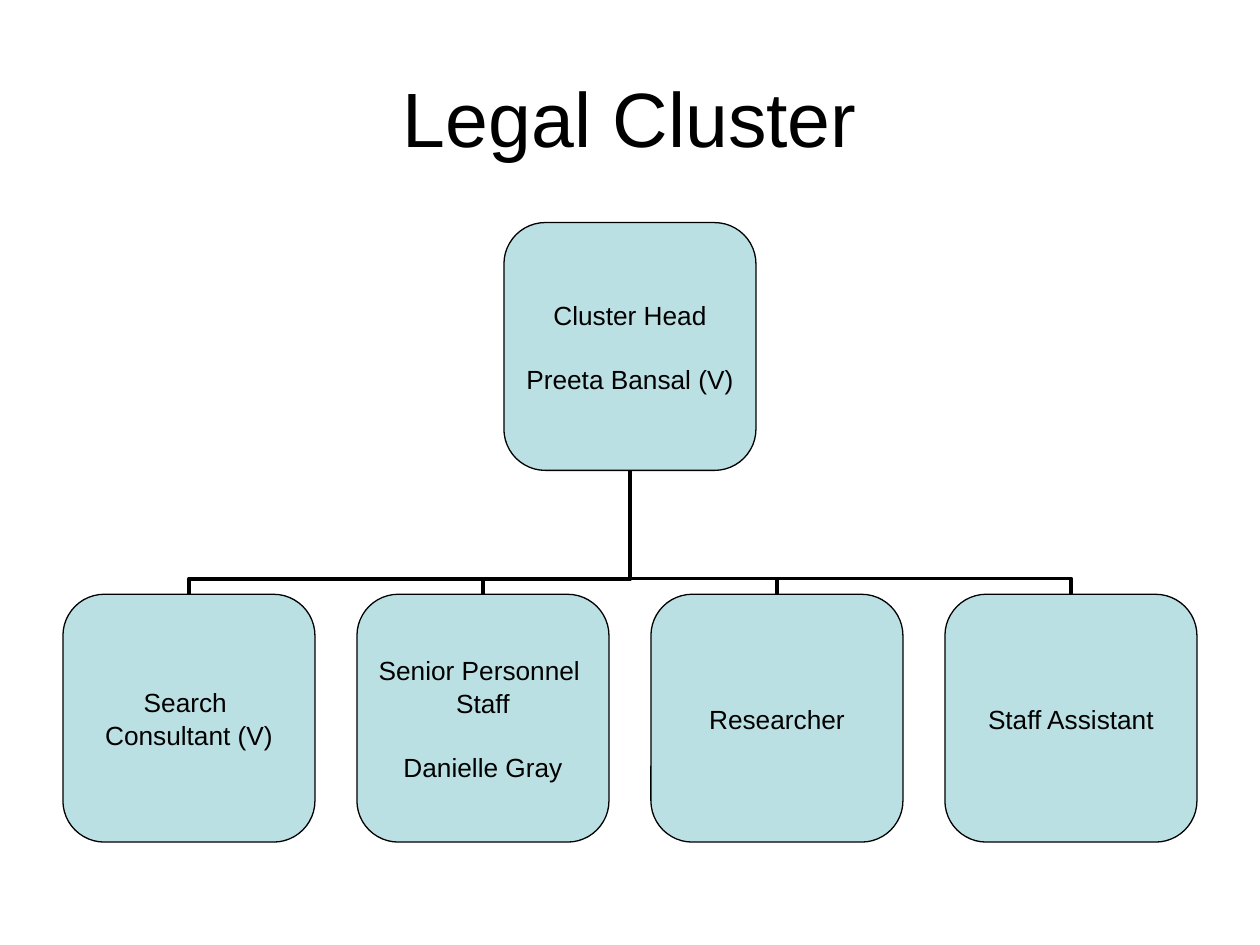
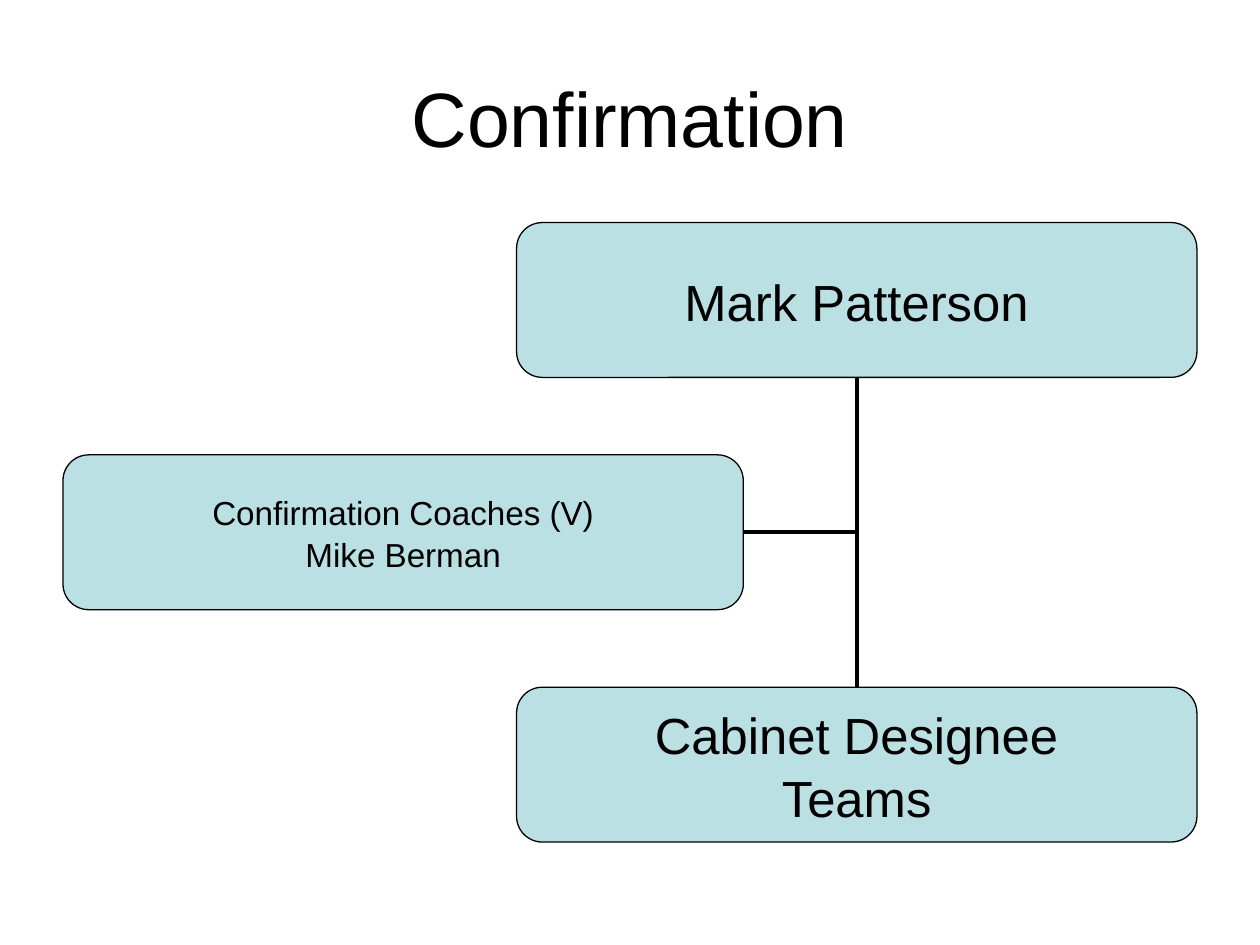
import pptx
import pptx.util
import pptx.dml.color
import pptx.enum.shapes
import pptx.enum.text
import pptx.oxml
import pptx.oxml.ns
from lxml import etree

Pt = pptx.util.Pt
KINDS = pptx.enum.shapes.MSO_CONNECTOR
INK = {"text": "000000", "line": "000000", "card": "BBE0E3"}
FONT = "Arial"
TITLE = (36, 21.6, 648, 90)
CHART = (36, 127.2, 648, 354)
BEND = 12700


def tint(name):
    return pptx.dml.color.RGBColor.from_string(INK[name])


def style(frame, size):
    frame.vertical_anchor = pptx.enum.text.MSO_ANCHOR.MIDDLE
    for para in frame.paragraphs:
        para.alignment = pptx.enum.text.PP_ALIGN.CENTER
        for run in para.runs:
            run.font.size = Pt(size)
            run.font.name = FONT
            run.font.color.rgb = tint("text")


def title(slide, box, text):
    frame = slide.shapes.add_textbox(*map(Pt, box)).text_frame
    frame.word_wrap = True
    frame.text = text
    style(frame, 44)


def card(slide, box, text, size, name=None):
    shape = slide.shapes.add_shape(
        pptx.enum.shapes.MSO_SHAPE.ROUNDED_RECTANGLE, *map(Pt, box))
    shape.shadow.inherit = False
    shape.fill.solid()
    shape.fill.fore_color.rgb = tint("card")
    shape.line.color.rgb = tint("line")
    shape.line.width = Pt(0.75)
    frame = shape.text_frame
    frame.margin_left = frame.margin_right = 0
    frame.margin_top = frame.margin_bottom = 0
    frame.word_wrap = False
    frame.text = text
    if name:
        para = frame.add_paragraph()
        para.text = name
        para.space_before = Pt(18)
    for para in frame.paragraphs:
        para.line_spacing = 1.04
    style(frame, size)


def link(slide, kind, start, end):
    line = slide.shapes.add_connector(kind, *map(Pt, start + end))
    line.line.color.rgb = tint("line")
    line.line.width = Pt(2.25)
    etree.SubElement(line._element.spPr, pptx.oxml.ns.qn("a:effectLst"))
    return line


def elbow(slide, child, head):
    mid_x, mid_y = (child[0] + head[0]) / 2, (child[1] + head[1]) / 2
    run, rise = (child[0] - head[0]) / 2, (child[1] - head[1]) / 2
    line = link(slide, KINDS.ELBOW, (mid_x - rise, mid_y + run),
                (mid_x + rise, mid_y - run))
    props = line._element.spPr
    props.find(pptx.oxml.ns.qn("a:xfrm")).set("rot", str(270 * 60000))
    guides = props.find(".//" + pptx.oxml.ns.qn("a:avLst"))
    etree.SubElement(guides, pptx.oxml.ns.qn("a:gd"),
                     name="adj1", fmla=f"val {BEND}")


def tree(slide, box, head, staff):
    left, top, width, height = box
    wide = width / (len(staff) + (len(staff) - 1) / 6)
    tall = height / 2.5
    base = top + 1.5 * tall
    mid = left + width / 2
    spots = [left + i * wide * 7 / 6 for i in range(len(staff))]
    for x in reversed(spots):
        elbow(slide, (x + wide / 2, base), (mid, top + tall))
    card(slide, (mid - wide / 2, top, wide, tall), head[0], 15, head[1])
    for x, (role, name) in zip(spots, staff):
        card(slide, (x, base, wide, tall), role, 15, name)


def chain(slide, box, head, aide, team):
    left, top, width, height = box
    wide, tall = width * 0.6, height / 4
    right = left + width - wide
    mid = right + wide / 2
    step = 1.5 * tall
    level = top + step + tall / 2
    link(slide, KINDS.STRAIGHT, (left + wide, level), (mid, level))
    link(slide, KINDS.STRAIGHT, (mid, top + tall), (mid, top + 2 * step))
    card(slide, (right, top, wide, tall), head, 29)
    card(slide, (right, top + 2 * step, wide, tall), team, 29)
    card(slide, (left, top + step, wide, tall), aide, 19)


def page(deck, text):
    slide = deck.slides.add_slide(deck.slide_layouts[6])
    title(slide, TITLE, text)
    return slide


def main():
    deck = pptx.Presentation()
    deck.slide_width, deck.slide_height = Pt(720), Pt(540)
    tree(page(deck, "Legal Cluster"), CHART,
         ("Cluster Head", "Preeta Bansal (V)"),
         [("Search \nConsultant (V)", None),
          ("Senior Personnel \nStaff", "Danielle Gray"),
          ("Researcher", None),
          ("Staff Assistant", None)])
    chain(page(deck, "Confirmation"), CHART, "Mark Patterson",
          "Confirmation Coaches (V)\nMike Berman",
          "Cabinet Designee\nTeams")
    deck.save("out.pptx")


if __name__ == "__main__":
    main()
